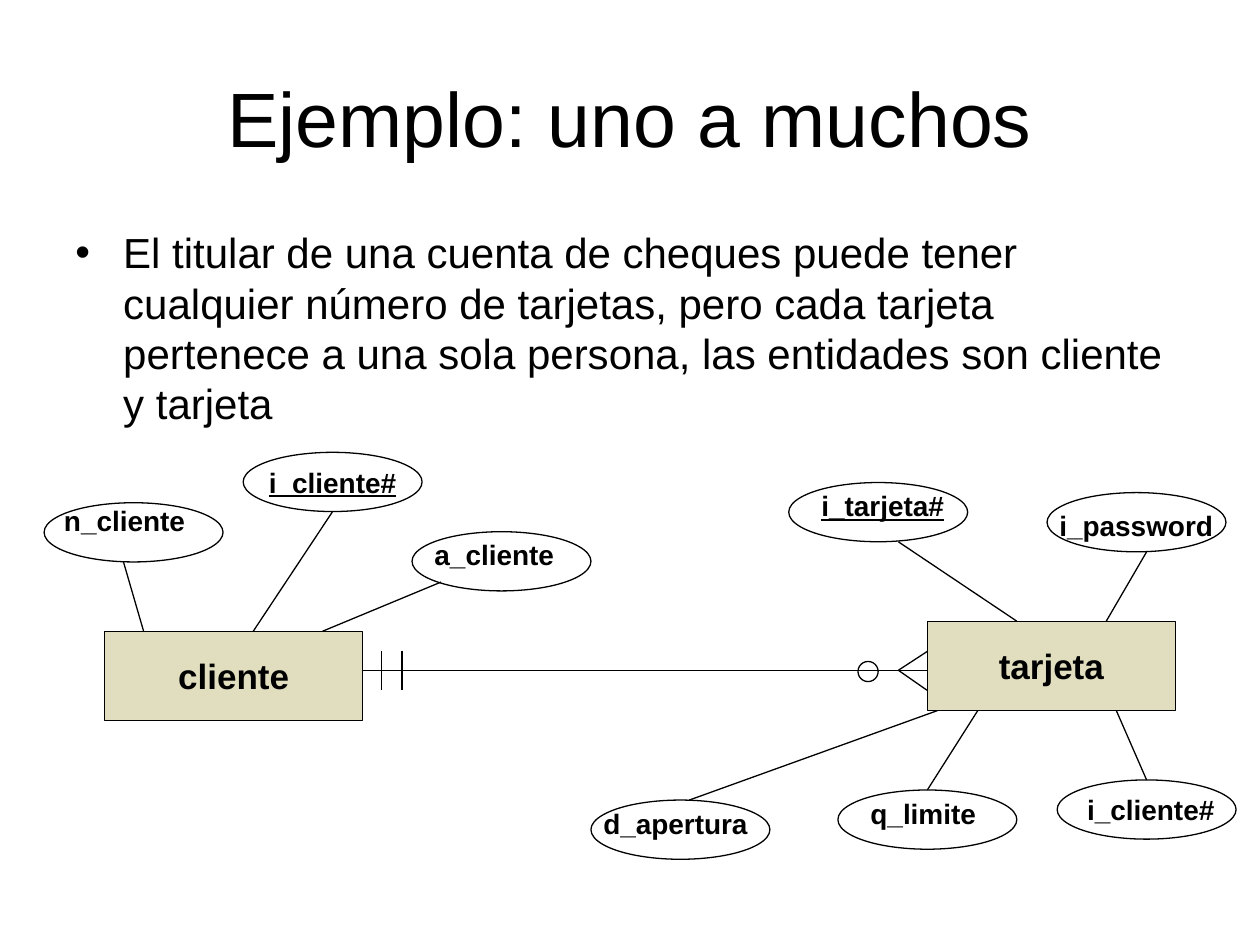
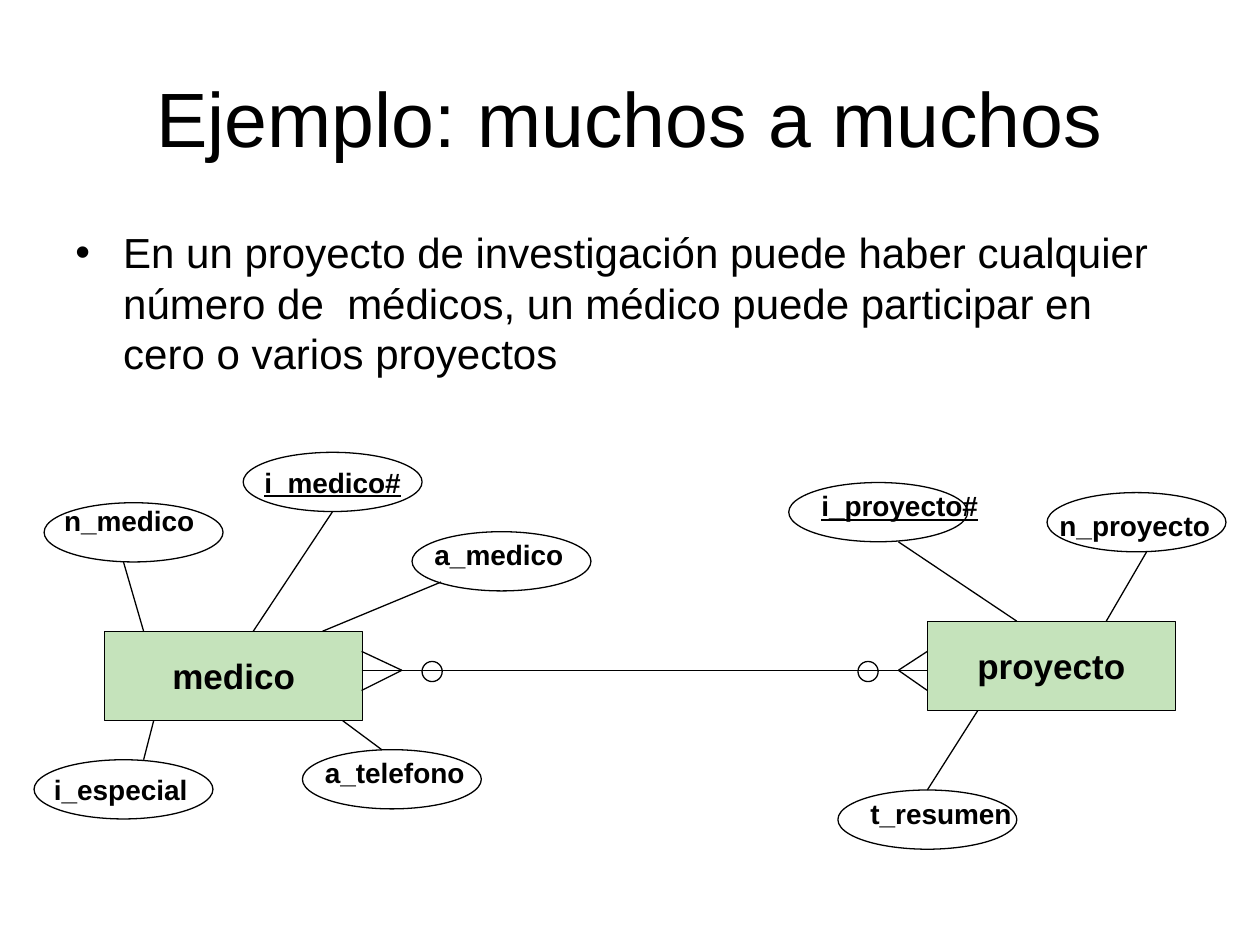
"""Build two entity-relationship slides: one to many, and many to many."""
from lxml import etree
from pptx import Presentation
from pptx.dml import color
from pptx.enum import shapes, text
from pptx.oxml import ns
from pptx.util import Inches, Pt

INK = "000000"
FONT = "Arial"
OVAL = (1.42, 0.47)
LABEL_HEIGHT = 0.37
RING = 0.16
AXIS = 5.32
TICK = (5.17, 5.48)
LEFT_EDGE, RIGHT_EDGE = 2.87, 7.36
ENTITY_BOXES = [(0.83, 5.01, 2.05, 0.71), (7.36, 4.93, 1.97, 0.71)]

# Each place: oval corner, label corner, spoke start, spoke end
PLACES = {
    "left name": ((0.35, 3.99), (0.41, 3.95), (0.98, 4.46), (1.14, 5.01)),
    "left key": ((1.93, 3.59), None, (2.64, 4.06), (2.01, 5.01)),
    "left address": ((3.27, 4.22), (3.35, 4.22), (3.5, 4.62), (2.56, 5.01)),
    "left specialty": ((0.27, 6.03), (0.33, 6.08), (1.14, 6.03), (1.22, 5.72)),
    "left phone": ((2.4, 5.95), (2.48, 5.95), (2.72, 5.72), (3.03, 5.95)),
    "right key": ((6.26, 3.83), (6.42, 3.83), (7.13, 4.3), (8.07, 4.93)),
    "right top": ((8.31, 3.91), (8.31, 3.99), (9.1, 4.38), (8.78, 4.93)),
    "right bottom": ((6.65, 6.27), (6.81, 6.27), (7.36, 6.27), (7.76, 5.64)),
    "right opening": ((4.69, 6.35), (4.69, 6.35), (7.44, 5.64), (5.47, 6.35)),
    "right owner": ((8.39, 6.19), (8.53, 6.24), (9.1, 6.19), (8.86, 5.64)),
}

EXAMPLES = [
    {
        "title": "Ejemplo: uno a muchos",
        "statement": "El titular de una cuenta de cheques puede tener cualquier "
                     "número de tarjetas, pero cada tarjeta pertenece a una sola "
                     "persona, las entidades son cliente y tarjeta",
        "entities": ["cliente", "tarjeta"],
        "fill": "E0DEBE",
        "attributes": {
            "left name": ("n_cliente", 1.17),
            "left key": ("i_cliente#", 1.42),
            "left address": ("a_cliente", 1.16),
            "right key": ("i_tarjeta#", 1.18),
            "right top": ("i_password", 1.43),
            "right bottom": ("q_limite", 1.05),
            "right opening": ("d_apertura", 1.36),
            "right owner": ("i_cliente#", 1.22),
        },
        "left end": [((x, TICK[0]), (x, TICK[1])) for x in (3.03, 3.19)],
        "rings": [6.81],
    },
    {
        "title": "Ejemplo: muchos a muchos",
        "statement": "En un proyecto de investigación puede haber cualquier "
                     "número de  médicos, un médico puede participar en cero o "
                     "varios proyectos",
        "entities": ["medico", "proyecto"],
        "fill": "C5E3BB",
        "attributes": {
            "left name": ("n_medico", 1.25),
            "left key": ("i_medico#", 1.42),
            "left address": ("a_medico", 1.23),
            "left specialty": ("i_especial", 1.27),
            "left phone": ("a_telefono", 1.32),
            "right key": ("i_proyecto#", 1.46),
            "right top": ("n_proyecto", 1.41),
            "right bottom": ("t_resumen", 1.33),
        },
        "left end": [((3.19, AXIS), (LEFT_EDGE, y)) for y in TICK],
        "rings": [6.81, 3.35],
    },
]


def write(holder, words, size, bold=True, underline=False, centred=True, wrap=False):
    frame = holder.text_frame
    frame.text = words
    frame.word_wrap = wrap
    frame.vertical_anchor = text.MSO_ANCHOR.MIDDLE if centred else text.MSO_ANCHOR.TOP
    paragraph = frame.paragraphs[0]
    paragraph.alignment = text.PP_ALIGN.CENTER if centred else text.PP_ALIGN.LEFT
    font = paragraph.runs[0].font
    font.name, font.size, font.bold = FONT, Pt(size), bold
    font.underline = underline
    font.color.rgb = color.RGBColor.from_string(INK)
    return paragraph


def outline(slide, preset, box, fill=None):
    figure = slide.shapes.add_shape(preset, *map(Inches, box))
    figure.shadow.inherit = False
    if fill:
        figure.fill.solid()
        figure.fill.fore_color.rgb = color.RGBColor.from_string(fill)
    else:
        figure.fill.background()
    figure.line.color.rgb = color.RGBColor.from_string(INK)
    figure.line.width = Pt(0.75)
    return figure


deck = Presentation()
deck.slide_width, deck.slide_height = Inches(10), Inches(7.5)

for example in EXAMPLES:
    slide = deck.slides.add_slide(deck.slide_layouts[6])

    title = slide.shapes.add_textbox(*map(Inches, (0.5, 0.3, 9, 1.25)))
    write(title, example["title"], 44, bold=False, wrap=True)

    statement = slide.shapes.add_textbox(*map(Inches, (0.5, 1.75, 9, 4.95)))
    bullet = write(statement, example["statement"], 24, bold=False, centred=False, wrap=True)
    bullet.space_before = Pt(6)
    properties = bullet._p.get_or_add_pPr()
    properties.set("marL", str(Inches(0.38)))
    properties.set("indent", str(Inches(-0.38)))
    etree.SubElement(properties, ns.qn("a:buFont")).set("typeface", FONT)
    etree.SubElement(properties, ns.qn("a:buChar")).set("char", "•")

    for entity, box in zip(example["entities"], ENTITY_BOXES):
        write(outline(slide, shapes.MSO_SHAPE.RECTANGLE, box, example["fill"]), entity, 20)

    lines = [((LEFT_EDGE, AXIS), (RIGHT_EDGE, AXIS))] + example["left end"]
    lines += [((7.13, AXIS), (RIGHT_EDGE, y)) for y in TICK]

    for place, (attribute, width) in example["attributes"].items():
        corner, label_corner, start, end = PLACES[place]
        lines.append((start, end))
        oval = outline(slide, shapes.MSO_SHAPE.OVAL, corner + OVAL)
        is_key = place.endswith("key")
        if label_corner:
            label = slide.shapes.add_textbox(*map(Inches, label_corner + (width, LABEL_HEIGHT)))
            write(label, attribute, 16, underline=is_key, centred=False)
            label.text_frame.auto_size = text.MSO_AUTO_SIZE.SHAPE_TO_FIT_TEXT
        else:
            write(oval, attribute, 16, underline=is_key)

    for x in example["rings"]:
        outline(slide, shapes.MSO_SHAPE.OVAL, (x, 5.25, RING, RING))

    for start, end in lines:
        line = slide.shapes.add_connector(
            shapes.MSO_CONNECTOR.STRAIGHT, *map(Inches, start + end))
        line.line.color.rgb = color.RGBColor.from_string(INK)
        line.line.width = Pt(0.75)
        etree.SubElement(line._element.spPr, ns.qn("a:effectLst"))

deck.save("out.pptx")
